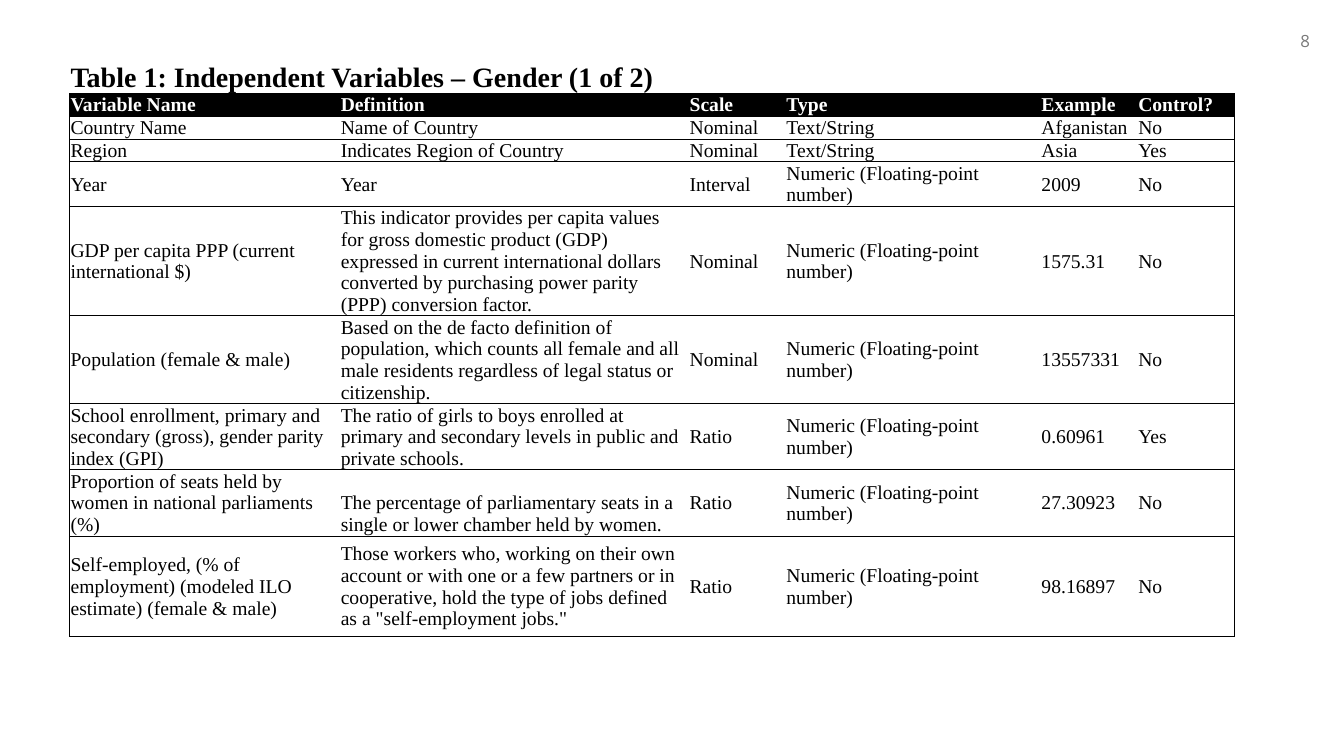
from lxml import etree
from pptx import Presentation
from pptx.dml.color import RGBColor
from pptx.enum.text import MSO_ANCHOR, PP_ALIGN
from pptx.oxml.ns import qn
from pptx.util import Inches, Pt

BLACK = RGBColor(0x00, 0x00, 0x00)
WHITE = RGBColor(0xFF, 0xFF, 0xFF)
GRAY = RGBColor(0x79, 0x79, 0x79)
SERIF, SANS = "Times New Roman", "Open Sans"
LEFT, RIGHT = PP_ALIGN.LEFT, PP_ALIGN.RIGHT
MIDDLE, BOTTOM = MSO_ANCHOR.MIDDLE, MSO_ANCHOR.BOTTOM
NO_STYLE = "{2D5ABB26-0587-4C30-8999-92F81FD0307C}"
NUMERIC = "Numeric (Floating-point number)"

TITLE = "Table 1: Independent Variables – Gender (1 of 2)"
COL_WIDTHS = [2.68, 3.46, 0.96, 2.53, 0.96, 0.96]
ROW_HEIGHTS = [0.29, 0.2, 0.2, 0.2, 0.4, 1, 0.8, 0.6, 0.6, 1]
HEADER = ["Variable Name", "Definition", "Scale", "Type", "Example", "Control?"]
VARIABLES = [
    ["Country Name", "Name of Country", "Nominal", "Text/String", "Afganistan", "No"],
    ["Region", "Indicates Region of Country", "Nominal", "Text/String", "Asia", "Yes"],
    ["Year", "Year", "Interval", NUMERIC, "2009", "No"],
    ["GDP per capita PPP (current international $)",
     "This indicator provides per capita values for gross domestic product (GDP) "
     "expressed in current international dollars converted by purchasing power "
     "parity (PPP) conversion factor.",
     "Nominal", NUMERIC, "1575.31", "No"],
    ["Population (female & male)",
     "Based on the de facto definition of population, which counts all female and "
     "all male residents regardless of legal status or citizenship.",
     "Nominal", NUMERIC, "13557331", "No"],
    ["School enrollment, primary and secondary (gross), gender parity index (GPI)",
     "The ratio of girls to boys enrolled at primary and secondary levels in public "
     "and private schools.",
     "Ratio", NUMERIC, "0.60961", "Yes"],
    ["Proportion of seats held by women in national parliaments (%)",
     "The percentage of parliamentary seats in a single or lower chamber held by women.",
     "Ratio", NUMERIC, "27.30923", "No"],
    ["Self-employed, (% of employment) (modeled ILO estimate) (female & male)",
     "Those workers who, working on their own account or with one or a few partners "
     'or in cooperative, hold the type of jobs defined as a "self-employment jobs."',
     "Ratio", NUMERIC, "98.16897", "No"],
]


def write(tf, text, font=SERIF, size=14, color=BLACK, bold=False, align=LEFT, leading=None):
    """Fill a text frame with one formatted paragraph."""
    tf.word_wrap = True
    p = tf.paragraphs[0]
    p.alignment = align
    if leading:
        p.line_spacing = Pt(leading)
    r = p.add_run()
    r.text = text
    r.font.name, r.font.size, r.font.bold = font, Pt(size), bold
    r.font.color.rgb = color


def add_border(cell, side, width):
    """Append a black border to one side (L, R, T or B) of a cell."""
    tc_pr = cell._tc.get_or_add_tcPr()
    ln = etree.SubElement(tc_pr, qn(f"a:ln{side}"), w=str(Pt(width)))
    fill = etree.SubElement(ln, qn("a:solidFill"))
    etree.SubElement(fill, qn("a:srgbClr"), val=str(BLACK))


def format_cell(cell, text, borders, fill=None, anchor=MIDDLE, leading=15.5, **text_format):
    """Set the borders, fill, margins and text of a table cell."""
    for side, width in borders.items():
        add_border(cell, side, width)
    if fill is None:
        cell.fill.background()
    else:
        cell.fill.solid()
        cell.fill.fore_color.rgb = fill
    cell.margin_left = cell.margin_right = cell.margin_top = Inches(0.01)
    cell.margin_bottom = 0
    cell.vertical_anchor = anchor
    write(cell.text_frame, text, leading=leading, **text_format)


def row_borders(row, col):
    """Return the borders of a cell below the title row."""
    borders = {}
    if col == 0:
        borders["L"] = 0.5
    if col == len(COL_WIDTHS) - 1:
        borders["R"] = 0.5
    borders["T"] = 0.5
    borders["B"] = 1 if row == len(ROW_HEIGHTS) - 1 else 0.5
    return borders


def add_variable_table(s):
    """Add the table with its title row, header row and variables."""
    frame = s.shapes.add_table(len(ROW_HEIGHTS), len(COL_WIDTHS), Inches(0.69), Inches(0.61),
                               Inches(sum(COL_WIDTHS)), Inches(sum(ROW_HEIGHTS)))
    table = frame.table
    table._tbl.tblPr.find(qn("a:tableStyleId")).text = NO_STYLE
    table.first_row = table.horz_banding = False
    for column, width in zip(table.columns, COL_WIDTHS):
        column.width = Inches(width)
    for row, height in zip(table.rows, ROW_HEIGHTS):
        row.height = Inches(height)

    title = table.cell(0, 0)
    title.merge(table.cell(0, len(COL_WIDTHS) - 1))
    format_cell(title, TITLE, {"B": 0.5}, anchor=BOTTOM, leading=22.1, size=20, bold=True)
    for col, text in enumerate(HEADER):
        format_cell(table.cell(1, col), text, row_borders(1, col), fill=BLACK,
                    anchor=BOTTOM, color=WHITE, bold=True)
    for row, values in enumerate(VARIABLES, start=2):
        for col, text in enumerate(values):
            anchor = BOTTOM if (row, col) == (8, 1) else MIDDLE
            format_cell(table.cell(row, col), text, row_borders(row, col), anchor=anchor)


def add_page_number(s, number):
    """Add the page number in the top right corner."""
    box = s.shapes.add_textbox(Inches(10.09), Inches(0.21), Inches(3), Inches(0.4))
    box.text_frame.vertical_anchor = MIDDLE
    write(box.text_frame, number, font=SANS, size=12, color=GRAY, align=RIGHT)


def main():
    """Build the slide and save it."""
    prs = Presentation()
    prs.slide_width, prs.slide_height = Inches(13.33), Inches(7.5)
    s = prs.slides.add_slide(prs.slide_layouts[6])
    add_page_number(s, "8")
    add_variable_table(s)
    prs.save("out.pptx")


if __name__ == "__main__":
    main()
